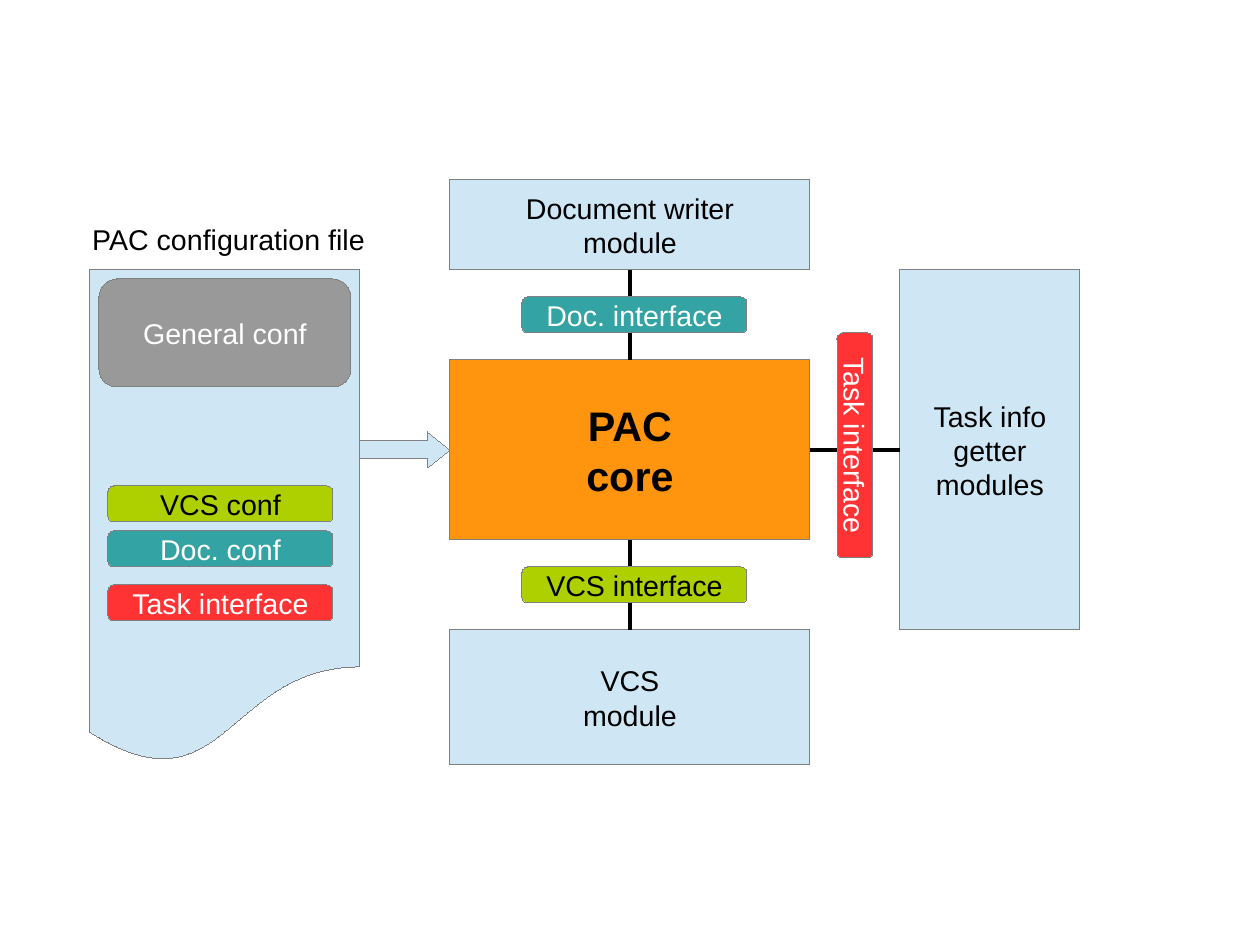
from lxml import etree
from pptx import Presentation
from pptx.dml.color import RGBColor
from pptx.enum.shapes import MSO_CONNECTOR, MSO_SHAPE
from pptx.enum.text import MSO_ANCHOR, MSO_AUTO_SIZE, PP_ALIGN
from pptx.oxml.ns import qn
from pptx.util import Inches, Pt

BLACK, WHITE, GREY = "000000", "FFFFFF", "808080"
PALE, ORANGE, SILVER = "CFE7F5", "FF950E", "999999"
GREEN, TEAL, RED = "AECF00", "33A3A3", "FF3333"
TAG_W, TAG_H = 5, 0.8
TOP, LEFT, BOTTOM, RIGHT = range(4)


def grid(*units):
    """Lengths on the centimetre grid of the slide."""
    return [Inches(unit / 2.54) for unit in units]


def rgb(value):
    return RGBColor.from_string(value)


def write(sp, text, color=BLACK, size=18, bold=False, align=PP_ALIGN.CENTER):
    tf = sp.text_frame
    tf.word_wrap = False
    p = tf.paragraphs[0]
    p.text = text
    p.alignment = align
    font_format = {"name": "Arial", "size": Pt(size), "bold": bold}
    for r in p.runs:
        for name, value in font_format.items():
            setattr(r.font, name, value)
        r.font.color.rgb = rgb(color)


def add_block(s, kind, box, fill, text="", **text_format):
    sp = s.shapes.add_shape(kind, *grid(*box))
    sp.shadow.inherit = False
    sp.fill.solid()
    sp.fill.fore_color.rgb = rgb(fill)
    sp.line.color.rgb = rgb(GREY)
    # Hairline: a zero width has to be written out
    sp._element.spPr.find(qn("a:ln")).set("w", "0")
    if text:
        sp.text_frame.vertical_anchor = MSO_ANCHOR.MIDDLE
        write(sp, text, **text_format)
    return sp


def add_tag(s, x, y, fill, text, color=WHITE):
    return add_block(s, MSO_SHAPE.ROUNDED_RECTANGLE, (x, y, TAG_W, TAG_H),
                     fill, text, color=color)


def add_link(s, start, start_side, end, end_side):
    link = s.shapes.add_connector(MSO_CONNECTOR.STRAIGHT, 0, 0, 0, 0)
    link.begin_connect(start, start_side)
    link.end_connect(end, end_side)
    link.line.color.rgb = rgb(BLACK)
    link.line.width = Pt(2.83)
    etree.SubElement(link._element.spPr, qn("a:effectLst"))


def add_core_region(s, x, y, w, h):
    """Core with its three modules, links and interfaces."""
    # Core and modules
    rect, gap = MSO_SHAPE.RECTANGLE, 2
    core = add_block(s, rect, (x, y, w, h), ORANGE, "PAC\vcore",
                     size=26, bold=True)
    writer = add_block(s, rect, (x, y - 2 * gap, w, gap), PALE,
                       "Document writer\vmodule")
    vcs = add_block(s, rect, (x, y + h + gap, w, 3), PALE, "VCS\vmodule")
    task = add_block(s, rect, (x + w + gap, y - gap, 4, h + 2 * gap), PALE,
                     "Task info\vgetter\vmodules")

    # Links
    add_link(s, core, TOP, writer, BOTTOM)
    add_link(s, core, RIGHT, task, LEFT)
    add_link(s, vcs, TOP, core, BOTTOM)

    # Interfaces in the gaps
    inset = (gap - TAG_H) / 2
    tag_x = x + 1.6
    add_tag(s, tag_x, y + h + inset, GREEN, "VCS interface", BLACK)
    add_tag(s, tag_x, y - gap + inset, TEAL, "Doc. interface")
    side_x = x + w + (gap - TAG_W) / 2
    add_tag(s, side_x, y + 1.5, RED, "Task interface").rotation = 90


def add_config_region(s, x, y, w, h):
    """Configuration file with its label and sections."""
    # File and label
    add_block(s, MSO_SHAPE.FLOWCHART_DOCUMENT, (x, y, w, h), PALE)
    label = s.shapes.add_textbox(*grid(x - 0.2, y - 1.2, 6.6, 0.96))
    write(label, "PAC configuration file", align=PP_ALIGN.LEFT)
    label.text_frame.auto_size = MSO_AUTO_SIZE.SHAPE_TO_FIT_TEXT

    # Sections
    add_block(s, MSO_SHAPE.ROUNDED_RECTANGLE, (x + 0.2, y + 0.2, w - 0.4, 2.4),
              SILVER, "General conf", color=WHITE)
    for dy, fill, text, color in (
        (4.8, GREEN, "VCS conf", BLACK),
        (5.8, TEAL, "Doc. conf", WHITE),
        (7, RED, "Task interface", WHITE),
    ):
        add_tag(s, x + 0.4, y + dy, fill, text, color)


def add_flow_arrow(s, x, y, w, h):
    """Arrow from the configuration file to the core."""
    arrow = add_block(s, MSO_SHAPE.RIGHT_ARROW, (x, y, w, h), PALE)
    arrow.adjustments[0] = 0.5
    arrow.adjustments[1] = 0.625


def main():
    prs = Presentation()
    prs.slide_width, prs.slide_height = grid(28, 21)
    s = prs.slides.add_slide(prs.slide_layouts[6])
    add_core_region(s, 10, 8, 8, 4)
    add_config_region(s, 2, 6, 6, 11)
    add_flow_arrow(s, 8, 9.6, 2, 0.8)
    prs.save("out.pptx")


if __name__ == "__main__":
    main()
